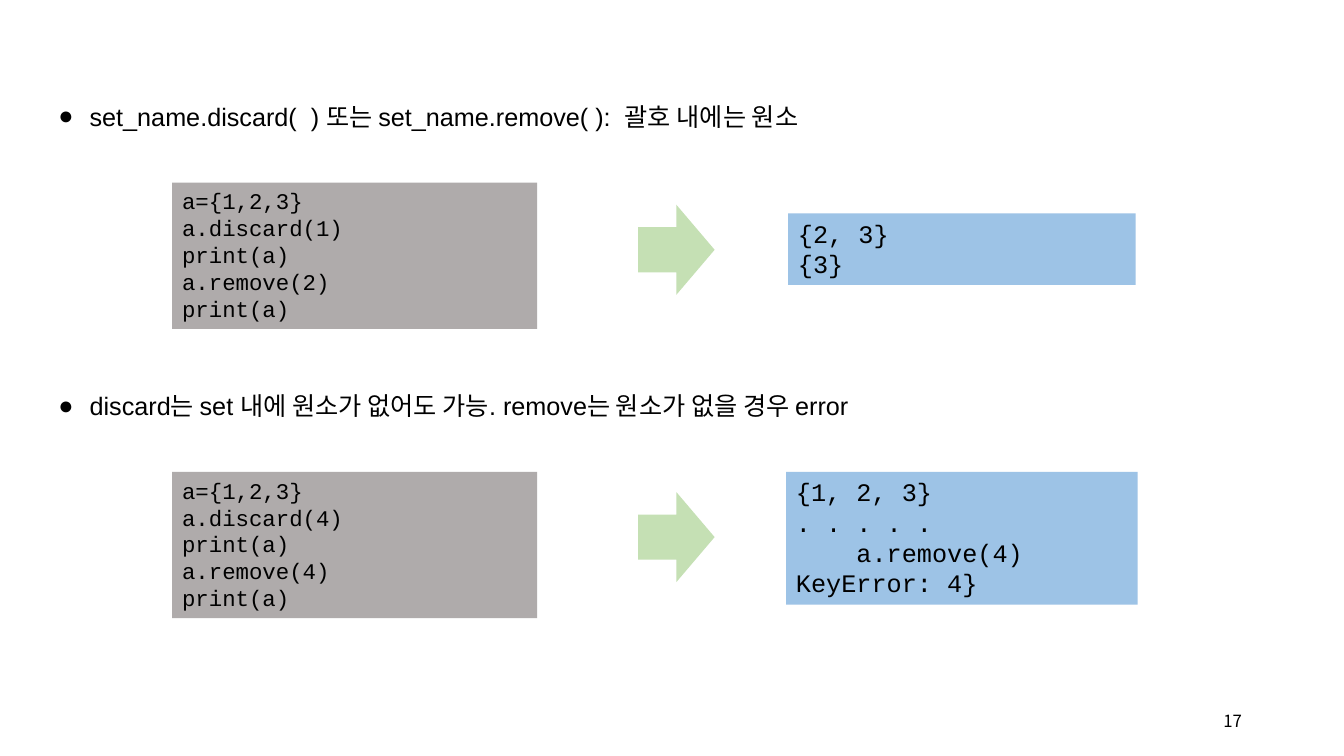
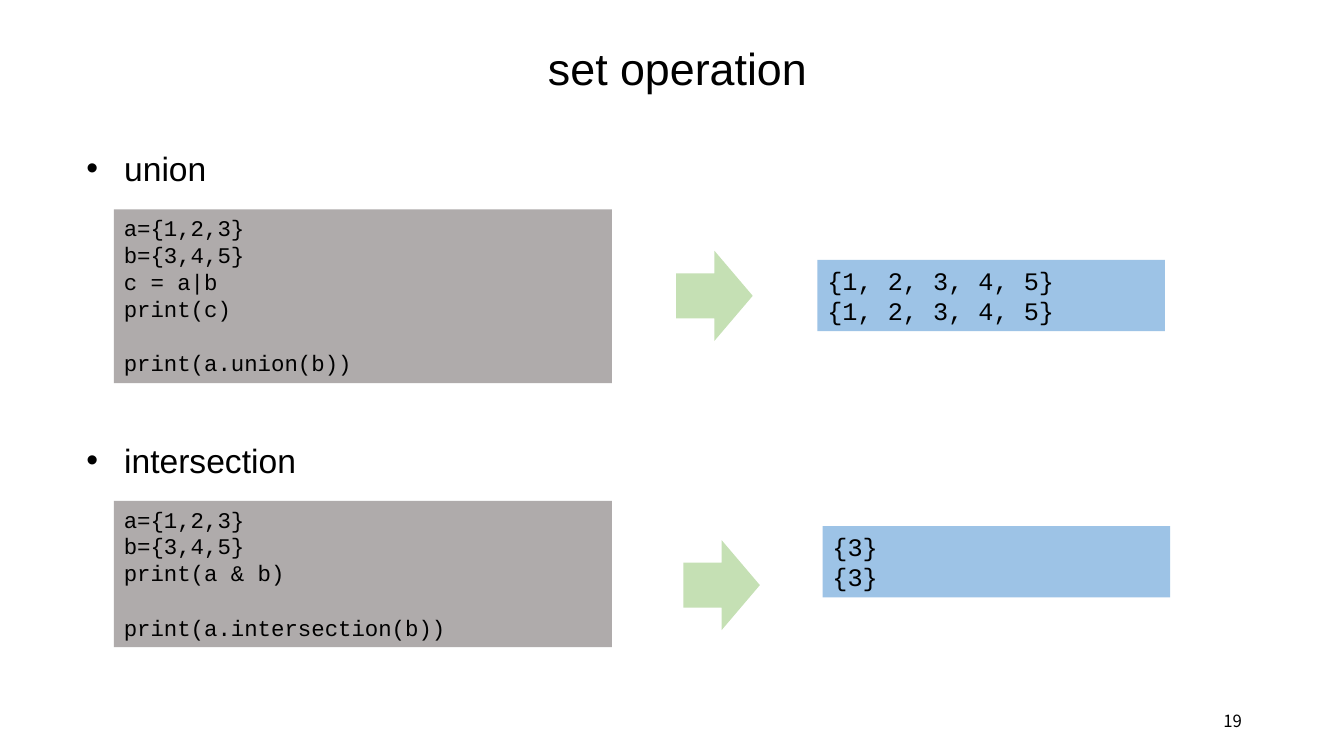
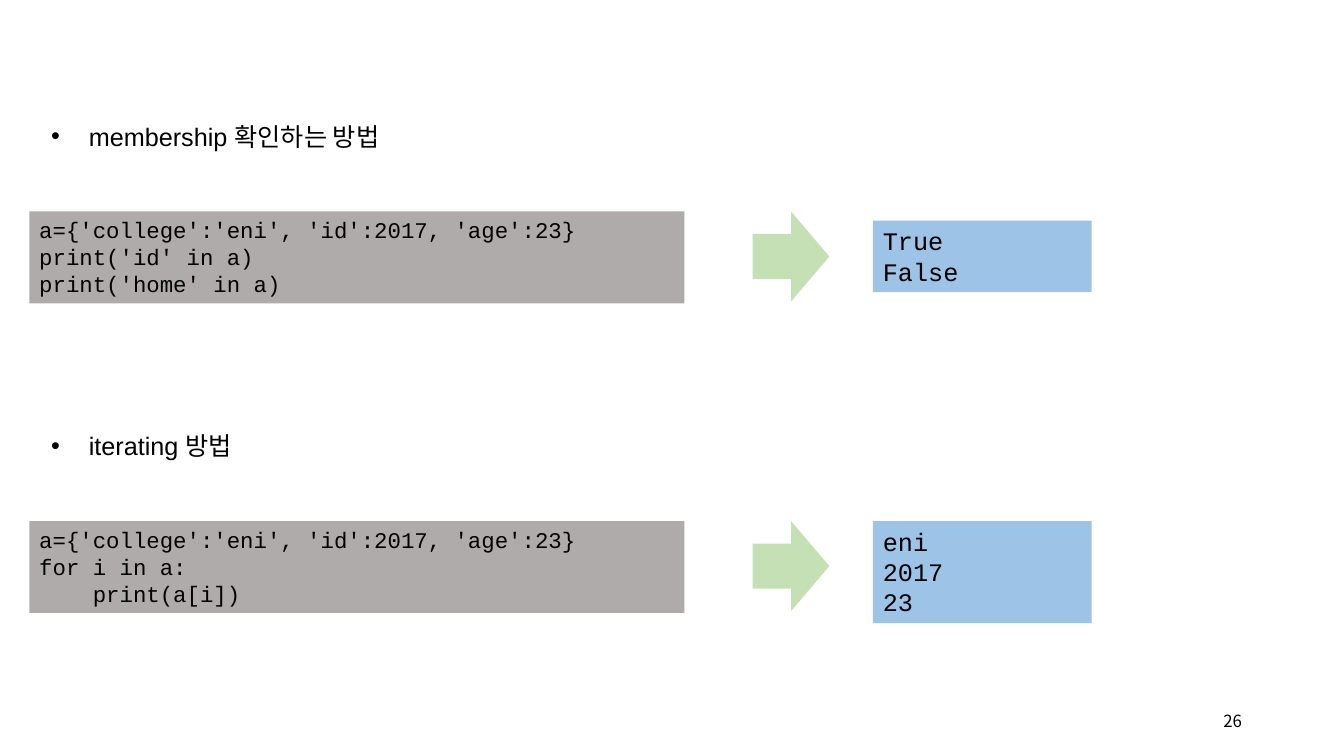
from lxml.etree import SubElement
from pptx import Presentation
from pptx.dml.color import RGBColor
from pptx.enum.shapes import MSO_SHAPE
from pptx.enum.text import MSO_ANCHOR, PP_ALIGN
from pptx.oxml.ns import qn
from pptx.util import Cm, Pt

BLACK = RGBColor(0x00, 0x00, 0x00)
CODE_FILL = RGBColor(0xAF, 0xAB, 0xAB)
RESULT_FILL = RGBColor(0x9D, 0xC3, 0xE6)
ARROW_FILL = RGBColor(0xC5, 0xE0, 0xB4)

BODY_FONT = "Arial"
CODE_FONT = "Courier New"
KOREAN_FONT = "Noto Sans CJK KR"

CODE_SIZE, RESULT_SIZE = 16, 18
LINE_PER_POINT = 0.043
BOX_PADDING = 0.25
ARROW_WIDTH, ARROW_HEIGHT = 1.93, 2.27

ROUND_BULLET = {"mark": "●", "indent": 0.79, "spacing": 1, "size": 18, "height": 1.02, "wrap": True}
SMALL_BULLET = {"mark": "•", "indent": 0.95, "spacing": 1.5, "size": 18, "height": 1.27, "wrap": False}
LARGE_BULLET = SMALL_BULLET | {"size": 24, "height": 1.7}

SLIDES = [
    {
        "number": "17", "title": None, "bullet": ROUND_BULLET,
        "heading_left": 1.22, "heading_rise": 2.18, "code_left": 4.34, "code_width": 9.2,
        "examples": [
            {
                "heading": "set_name.discard(  ) 또는 set_name.remove( ):  괄호 내에는 원소",
                "heading_width": 21.59, "top": 4.6,
                "code": ["a={1,2,3}", "a.discard(1)", "print(a)", "a.remove(2)", "print(a)"],
                "arrow": (16.08, 5.16),
                "result": ["{2, 3}", "{3}"], "result_at": (19.86, 5.38, 8.76),
            },
            {
                "heading": "discard는 set 내에 원소가 없어도 가능. remove는 원소가 없을 경우 error",
                "heading_width": 26.59, "top": 11.89,
                "code": ["a={1,2,3}", "a.discard(4)", "print(a)", "a.remove(4)", "print(a)"],
                "arrow": (16.08, 12.4),
                "result": ["{1, 2, 3}", ". . . . .", "    a.remove(4)", "KeyError: 4}"],
                "result_at": (19.81, 11.89, 8.86),
            },
        ],
    },
    {
        "number": "19", "title": "set operation", "bullet": LARGE_BULLET,
        "heading_left": 1.93, "heading_rise": 2.18, "code_left": 2.87, "code_width": 12.55,
        "examples": [
            {
                "heading": "union", "heading_width": 3.58, "top": 5.28,
                "code": ["a={1,2,3}", "b={3,4,5}", "c = a|b", "print(c)", "", "print(a.union(b))"],
                "arrow": (17.04, 6.32),
                "result": ["{1, 2, 3, 4, 5}", "{1, 2, 3, 4, 5}"], "result_at": (20.6, 6.55, 8.76),
            },
            {
                "heading": "intersection", "heading_width": 5.84, "top": 12.62,
                "code": ["a={1,2,3}", "b={3,4,5}", "print(a & b)", "", "print(a.intersection(b))"],
                "arrow": (17.22, 13.61),
                "result": ["{3}", "{3}"], "result_at": (20.73, 13.26, 8.76),
            },
        ],
    },
    {
        "number": "26", "title": None, "bullet": SMALL_BULLET,
        "heading_left": 1.04, "heading_rise": 2.79, "code_left": 0.74, "code_width": 16.51,
        "examples": [
            {
                "heading": "membership 확인하는 방법", "heading_width": 9.19, "top": 5.33,
                "code": ["a={'college':'eni', 'id':2017, 'age':23}", "print('id' in a)", "print('home' in a)"],
                "arrow": (18.97, 5.33),
                "result": ["True", "False"], "result_at": (22, 5.56, 5.51),
            },
            {
                "heading": "iterating 방법", "heading_width": 5.21, "top": 13.13,
                "code": ["a={'college':'eni', 'id':2017, 'age':23}", "for i in a:", "    print(a[i])"],
                "arrow": (18.97, 13.13),
                "result": ["eni", "2017", "23"], "result_at": (22, 13.13, 5.51),
            },
        ],
    },
]


def style_paragraph(para, font, size):
    for span in para.runs:
        span.font.name = font
        span.font.size = Pt(size)
        span.font.color.rgb = BLACK
        SubElement(span.font._element, qn("a:ea"), typeface=KOREAN_FONT)


def add_text(page, text, left, top, width, height, font, size, wrap=True):
    box = page.shapes.add_textbox(Cm(left), Cm(top), Cm(width), Cm(height))
    box.text_frame.word_wrap = wrap
    box.text_frame.text = text
    para = box.text_frame.paragraphs[0]
    style_paragraph(para, font, size)
    return box, para


def add_heading(page, text, left, top, width, bullet):
    box, para = add_text(page, text, left, top, width, bullet["height"],
                         BODY_FONT, bullet["size"], bullet["wrap"])
    properties = para._p.get_or_add_pPr()
    indent = Cm(bullet["indent"])
    properties.set("marL", str(indent))
    properties.set("indent", str(-indent))
    SubElement(properties, qn("a:buFont"), typeface=BODY_FONT)
    SubElement(properties, qn("a:buChar"), char=bullet["mark"])
    para.line_spacing = float(bullet["spacing"])


def add_filled(page, preset, left, top, width, height, fill):
    shape = page.shapes.add_shape(preset, Cm(left), Cm(top), Cm(width), Cm(height))
    shape.shadow.inherit = False
    shape.fill.solid()
    shape.fill.fore_color.rgb = fill
    shape.line.fill.background()
    return shape


def add_listing(page, lines, left, top, width, size, fill):
    line_height = LINE_PER_POINT * size
    height = BOX_PADDING + line_height * len(lines)
    box = add_filled(page, MSO_SHAPE.RECTANGLE, left, top, width, height, fill)
    frame = box.text_frame
    frame.word_wrap = True
    frame.vertical_anchor = MSO_ANCHOR.TOP
    frame.text = "\n".join(line for line in lines if line)
    paragraphs = iter(frame.paragraphs)
    gap = 0
    for line in lines:
        if not line:
            gap += line_height
            continue
        para = next(paragraphs)
        para.alignment = PP_ALIGN.LEFT
        if gap:
            para.space_before = Cm(gap)
            gap = 0
        style_paragraph(para, CODE_FONT, size)


def add_example(page, content, example):
    top = example["top"]
    add_heading(page, example["heading"], content["heading_left"], top - content["heading_rise"],
                example["heading_width"], content["bullet"])
    add_listing(page, example["code"], content["code_left"], top, content["code_width"],
                CODE_SIZE, CODE_FILL)
    add_filled(page, MSO_SHAPE.RIGHT_ARROW, *example["arrow"], ARROW_WIDTH, ARROW_HEIGHT, ARROW_FILL)
    add_listing(page, example["result"], *example["result_at"], RESULT_SIZE, RESULT_FILL)


def add_page(deck, content):
    page = deck.slides.add_slide(deck.slide_layouts[6])
    if content["title"]:
        add_text(page, content["title"], 13.56, 0.91, 7.16, 1.63, BODY_FONT, 32)
    for example in content["examples"]:
        add_example(page, content, example)
    box, para = add_text(page, content["number"], 30.15, 17.65, 1.4, 1.02, KOREAN_FONT, 12)
    box.text_frame.vertical_anchor = MSO_ANCHOR.MIDDLE
    para.alignment = PP_ALIGN.RIGHT


def main():
    deck = Presentation()
    deck.slide_width, deck.slide_height = Cm(33.87), Cm(19.05)
    for content in SLIDES:
        add_page(deck, content)
    deck.save("out.pptx")


if __name__ == "__main__":
    main()
